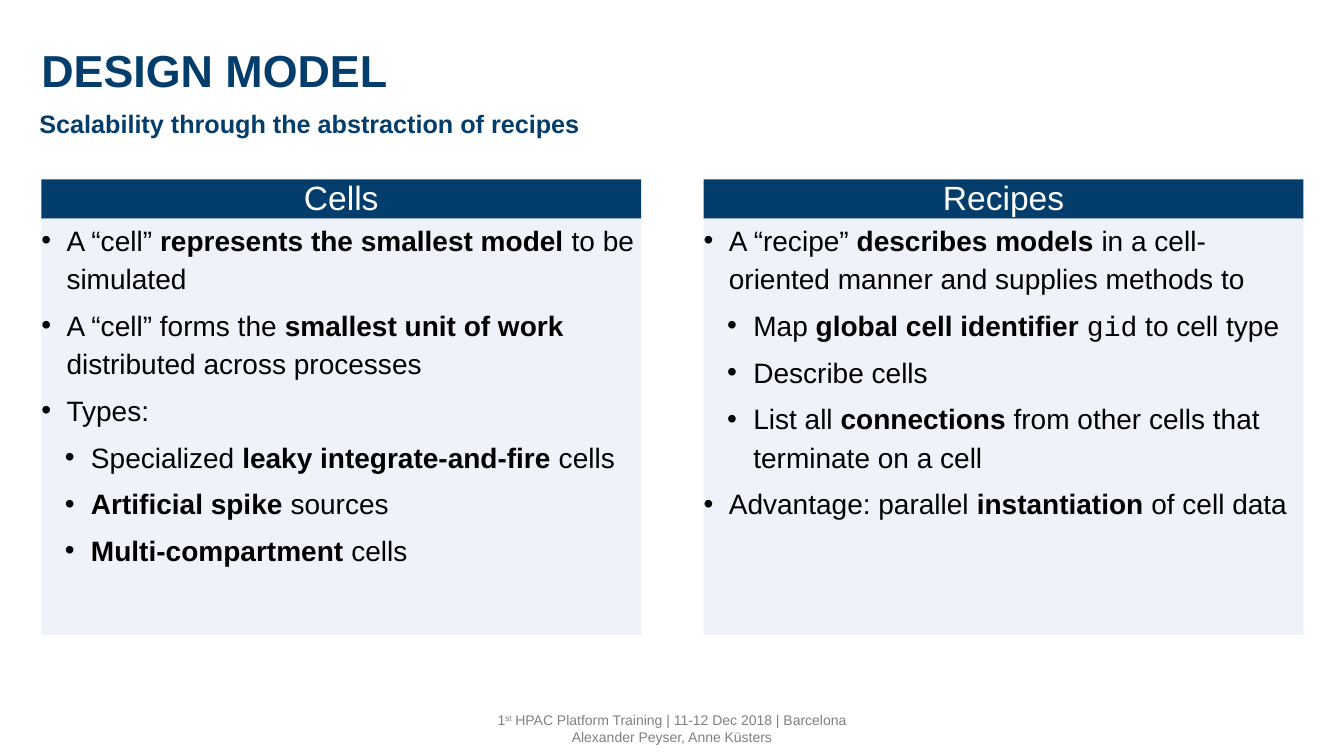
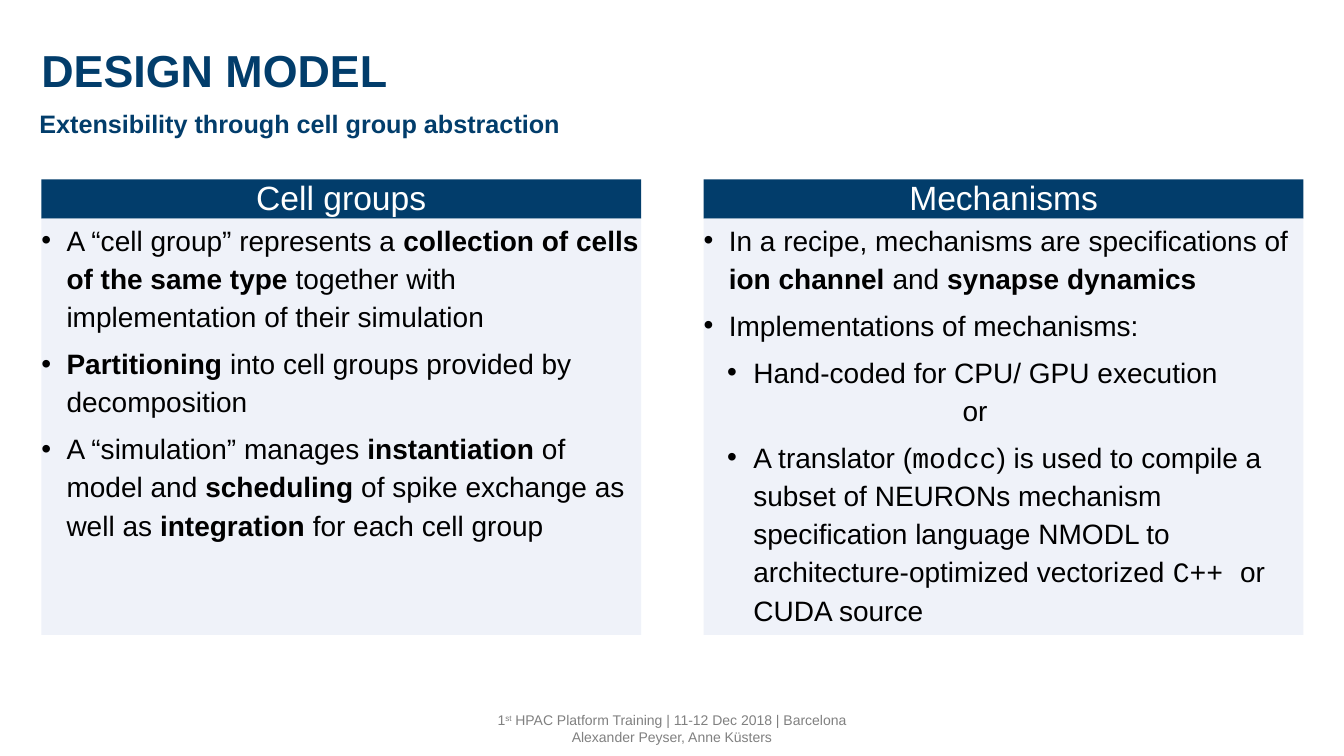
from dataclasses import dataclass
from typing import Any

from lxml.etree import SubElement
from pptx import Presentation
from pptx.dml.color import RGBColor
from pptx.enum.shapes import MSO_SHAPE
from pptx.enum.text import MSO_ANCHOR, MSO_AUTO_SIZE, PP_ALIGN
from pptx.oxml.ns import qn
from pptx.util import Pt


@dataclass(frozen=True)
class Theme:
    navy: RGBColor = RGBColor(0x02, 0x3D, 0x6B)
    pale: RGBColor = RGBColor(0xEF, 0xF2, 0xF9)
    white: RGBColor = RGBColor(0xFF, 0xFF, 0xFF)
    black: RGBColor = RGBColor(0, 0, 0)
    grey: RGBColor = RGBColor(0x80, 0x80, 0x80)
    sans: str = "Arial"
    mono: str = "Courier New"
    title_size: float = 32
    subtitle_size: float = 18
    heading_size: float = 24
    body_size: float = 20
    footer_size: float = 10


THEME = Theme()


@dataclass(frozen=True)
class Box:
    left: float
    top: float
    width: float
    height: float

    def lengths(self) -> tuple:
        return Pt(self.left), Pt(self.top), Pt(self.width), Pt(self.height)


@dataclass(frozen=True)
class Span:
    text: str
    bold: bool = False
    mono: bool = False
    superscript: bool = False


@dataclass(frozen=True)
class Item:
    spans: tuple
    indent: float = 18
    hanging: float = 18
    bullet: bool = True
    space_after: float = 6


@dataclass(frozen=True)
class Column:
    heading: str
    items: tuple


@dataclass(frozen=True)
class Page:
    subtitle: str
    columns: tuple


MARGIN, COLUMN_WIDTH, COLUMN_GAP = 29.5, 428.4, 44.7
HEADING_TOP, HEADING_HEIGHT, BODY_HEIGHT = 128.2, 28, 297.4
TITLE_BOX = Box(MARGIN, 25.2, 901.5, 88.6)
SUBTITLE_BOX = Box(28.1, 74.2, 901.5, 40.3)
FOOTER_BOX = Box(344.2, 504.7, 271.4, 31.7)

NO_INSETS = dict(margin_left=0, margin_top=0, margin_right=0, margin_bottom=0)
LOOSE_LINES = dict(line_spacing=1.14)
HEADING_LINES = dict(line_spacing=0.95, alignment=PP_ALIGN.CENTER)


def bold(text: str) -> Span:
    return Span(text, bold=True)


def code(text: str) -> Span:
    return Span(text, mono=True)


def as_spans(parts: tuple) -> tuple:
    return tuple(Span(part) if isinstance(part, str) else part for part in parts)


def point(*parts: Any) -> Item:
    return Item(as_spans(parts))


def subpoint(*parts: Any, space_after: float = 6) -> Item:
    return Item(as_spans(parts), indent=35.5, hanging=18.7, space_after=space_after)


def aside(text: str) -> Item:
    """An unbulleted word set well inside the column."""
    return Item((Span(text),), indent=185, hanging=0, bullet=False)


TITLE = "DESIGN MODEL"
FOOTER = (
    (Span("1"), Span("st", superscript=True),
     Span(" HPAC Platform Training | 11-12 Dec 2018 | Barcelona")),
    (Span("Alexander Peyser, Anne Küsters"),),
)
PAGES = (
    Page("Scalability through the abstraction of recipes", (
        Column("Cells", (
            point("A “cell” ", bold("represents the smallest model "), "to be simulated"),
            point("A “cell” forms the ", bold("smallest unit of work "),
                  "distributed across processes"),
            point("Types:"),
            subpoint("Specialized ", bold("leaky integrate-and-fire"), " cells"),
            subpoint(bold("Artificial spike "), "sources"),
            subpoint(bold("Multi-compartment"), " cells"),
        )),
        Column("Recipes", (
            point("A “recipe” ", bold("describes models "),
                  "in a cell-oriented manner and supplies methods to"),
            subpoint("Map ", bold("global cell identifier "), code("gid"), " to cell type"),
            subpoint("Describe cells"),
            subpoint("List all ", bold("connections"),
                     " from other cells that terminate on a cell"),
            point("Advantage: parallel ", bold("instantiation"), " of cell data"),
        )),
    )),
    Page("Extensibility through cell group abstraction", (
        Column("Cell groups", (
            point("A “cell group” represents a ",
                  bold("collection of cells of the same type"),
                  " together with implementation of their simulation"),
            point(bold("Partitioning"), " into cell groups provided by decomposition"),
            point("A “simulation” manages ", bold("instantiation"), " of model and ",
                  bold("scheduling"), " of spike exchange as well as ",
                  bold("integration"), " for each cell group"),
        )),
        Column("Mechanisms", (
            point("In a recipe, mechanisms are specifications of ",
                  bold("ion channel "), "and ", bold("synapse dynamics")),
            point("Implementations of mechanisms:"),
            subpoint("Hand-coded for CPU/ GPU execution", space_after=0),
            aside("or"),
            subpoint("A translator (", code("modcc"),
                     ") is used to compile a subset of NEURONs mechanism specification "
                     "language NMODL to architecture-optimized vectorized ",
                     code("C++ "), "or CUDA source"),
        )),
    )),
)


def apply_formats(target: Any, formats: dict) -> None:
    for attribute, value in formats.items():
        setattr(target, attribute, value)


def add_span(paragraph: Any, span: Span, size: float, color: RGBColor) -> None:
    run = paragraph.add_run()
    run.text = span.text
    apply_formats(run.font, dict(
        name=THEME.mono if span.mono else THEME.sans, size=Pt(size), bold=span.bold))
    run.font.color.rgb = color
    if span.superscript:
        run.font._element.set("baseline", "30000")


def add_text_frame(slide: Any, box: Box, formats: dict) -> Any:
    frame = slide.shapes.add_textbox(*box.lengths()).text_frame
    apply_formats(frame, formats)
    return frame


def add_panel(slide: Any, box: Box, color: RGBColor, formats: dict) -> Any:
    """Draw a plain filled rectangle and return its text frame."""
    panel = slide.shapes.add_shape(MSO_SHAPE.RECTANGLE, *box.lengths())
    panel.shadow.inherit = False
    panel.fill.solid()
    panel.fill.fore_color.rgb = color
    panel.line.fill.background()
    apply_formats(panel.text_frame, dict(word_wrap=True) | formats)
    return panel.text_frame


def add_title_line(slide: Any, box: Box, text: str, size: float) -> None:
    frame = add_text_frame(slide, box, dict(word_wrap=True) | NO_INSETS)
    apply_formats(frame.paragraphs[0], LOOSE_LINES)
    add_span(frame.paragraphs[0], bold(text), size, THEME.navy)


def add_footer(slide: Any) -> None:
    frame = add_text_frame(slide, FOOTER_BOX, dict(
        word_wrap=False, auto_size=MSO_AUTO_SIZE.SHAPE_TO_FIT_TEXT))
    paragraph = frame.paragraphs[0]
    paragraph.alignment = PP_ALIGN.CENTER
    for number, line in enumerate(FOOTER):
        if number:
            paragraph.add_line_break()
        for span in line:
            add_span(paragraph, span, THEME.footer_size, THEME.grey)


def set_indent(paragraph: Any, item: Item) -> None:
    properties = paragraph._p.get_or_add_pPr()
    properties.set("marL", str(Pt(item.indent)))
    properties.set("indent", str(-Pt(item.hanging)))
    if item.bullet:
        SubElement(properties, qn("a:buFont")).set("typeface", THEME.sans)
        SubElement(properties, qn("a:buChar")).set("char", "•")
    else:
        SubElement(properties, qn("a:buNone"))


def add_column(slide: Any, left: float, column: Column) -> None:
    heading_box = Box(left, HEADING_TOP, COLUMN_WIDTH, HEADING_HEIGHT)
    heading = add_panel(slide, heading_box, THEME.navy,
                        dict(vertical_anchor=MSO_ANCHOR.MIDDLE)).paragraphs[0]
    apply_formats(heading, HEADING_LINES)
    add_span(heading, Span(column.heading), THEME.heading_size, THEME.white)

    body_box = Box(left, HEADING_TOP + HEADING_HEIGHT, COLUMN_WIDTH, BODY_HEIGHT)
    body = add_panel(slide, body_box, THEME.pale,
                     dict(vertical_anchor=MSO_ANCHOR.TOP) | NO_INSETS)
    for number, item in enumerate(column.items):
        paragraph = body.add_paragraph() if number else body.paragraphs[0]
        set_indent(paragraph, item)
        apply_formats(paragraph, LOOSE_LINES | dict(
            alignment=PP_ALIGN.LEFT, space_after=Pt(item.space_after)))
        for span in item.spans:
            add_span(paragraph, span, THEME.body_size, THEME.black)


def add_page(presentation: Any, page: Page) -> None:
    slide = presentation.slides.add_slide(presentation.slide_layouts[6])
    add_footer(slide)
    add_title_line(slide, TITLE_BOX, TITLE, THEME.title_size)
    add_title_line(slide, SUBTITLE_BOX, page.subtitle, THEME.subtitle_size)
    for number, column in enumerate(page.columns):
        add_column(slide, MARGIN + number * (COLUMN_WIDTH + COLUMN_GAP), column)


def main() -> None:
    presentation = Presentation()
    apply_formats(presentation, dict(slide_width=Pt(960), slide_height=Pt(540)))
    for page in PAGES:
        add_page(presentation, page)
    presentation.save("out.pptx")


if __name__ == "__main__":
    main()
